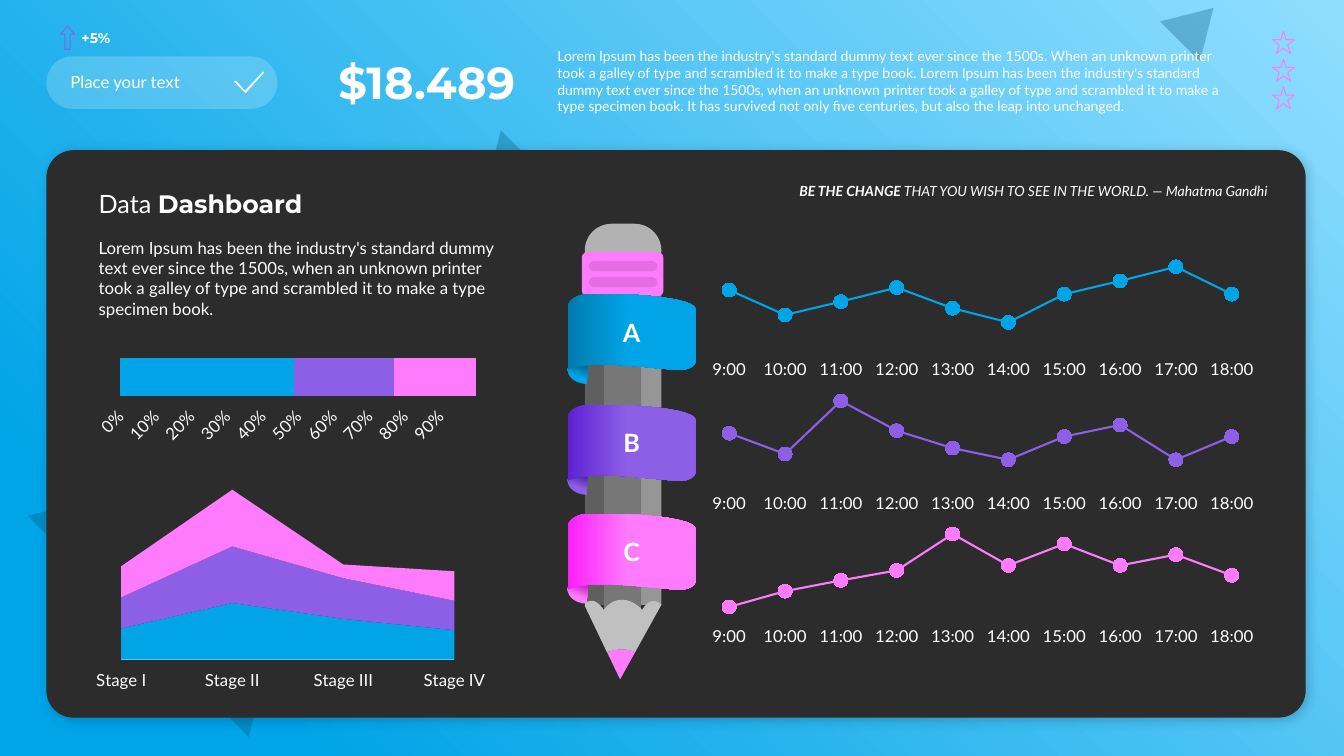
"""Build a data dashboard slide with a pencil, ribbons and five charts."""
from lxml.etree import SubElement
from pptx import Presentation
from pptx.chart.data import CategoryChartData
from pptx.dml.color import RGBColor
from pptx.enum.chart import XL_CHART_TYPE as ChartType, XL_MARKER_STYLE as Marker
from pptx.enum.chart import XL_TICK_LABEL_POSITION as LabelPosition, XL_TICK_MARK as TickMark
from pptx.enum.shapes import MSO_SHAPE as Preset
from pptx.enum.text import MSO_ANCHOR as Anchor, PP_ALIGN as Align
from pptx.oxml import parse_xml
from pptx.oxml.ns import nsdecls, qn
from pptx.util import Inches, Pt

WHITE = RGBColor(0xFF, 0xFF, 0xFF)
BLACK = RGBColor(0, 0, 0)
PANEL = RGBColor(0x2C, 0x2C, 0x2C)
SKY = RGBColor(0x90, 0xDE, 0xFF)
BLUE = RGBColor(0x01, 0xA4, 0xE7)
MID_BLUE = RGBColor(0x01, 0x7B, 0xAD)
DEEP_BLUE = RGBColor(0x00, 0x52, 0x74)
VIOLET = RGBColor(0x8D, 0x5F, 0xE6)
MID_VIOLET = RGBColor(0x5E, 0x21, 0xD3)
DEEP_VIOLET = RGBColor(0x3E, 0x16, 0x8D)
PINK = RGBColor(0xFD, 0x7B, 0xFC)
MID_PINK = RGBColor(0xFC, 0x1E, 0xFA)
DEEP_PINK = RGBColor(0xB9, 0x03, 0xB8)
DARK_GREY = RGBColor(0x5F, 0x5F, 0x5F)
GREY = RGBColor(0x77, 0x77, 0x77)
LIGHT_GREY = RGBColor(0x96, 0x96, 0x96)
ERASER = RGBColor(0xB2, 0xB2, 0xB2)
WOOD = RGBColor(0xC0, 0xC0, 0xC0)


def paint(shape, colour, alpha=None, fade=None, angle=0):
    """Fill a shape flat, or from colour to another; fade is (start, colour, end)."""
    shape.shadow.inherit = False
    shape.line.fill.background()
    if fade:
        shape.fill.gradient()
        shape.fill.gradient_angle = angle
        first, last = shape.fill.gradient_stops
        first.color.rgb, last.color.rgb = colour, fade[1]
        first.position, last.position = fade[0], fade[2]
    else:
        shape.fill.solid()
        shape.fill.fore_color.rgb = colour
    if alpha:
        tint = shape.fill._xPr.find(".//" + qn("a:srgbClr"))
        SubElement(tint, qn("a:alpha"), val=str(alpha * 1000))


def write(shape, text, size=12, font="Lato", bold=False, italic=False,
          align=Align.LEFT, anchor=Anchor.MIDDLE):
    """Append a run to the first paragraph of a shape."""
    frame = shape.text_frame
    frame.word_wrap = True
    frame.vertical_anchor = anchor
    paragraph = frame.paragraphs[0]
    paragraph.alignment = align
    run = paragraph.add_run()
    run.text = text
    run.font.size, run.font.name = Pt(size), font
    run.font.bold, run.font.italic = bold, italic
    run.font.color.rgb = WHITE


presentation = Presentation()
presentation.slide_width, presentation.slide_height = Inches(13.33), Inches(7.5)
slide = presentation.slides.add_slide(presentation.slide_layouts[6])
shapes = slide.shapes

backdrop = shapes.add_shape(Preset.RECTANGLE, 0, 0, Inches(13.33), Inches(7.5))
paint(backdrop, SKY, fade=(0, BLUE, 0.85))
linear = backdrop.fill._xPr.find(".//" + qn("a:lin"))
linear.getparent().replace(linear, parse_xml(
    f'<a:path {nsdecls("a")} path="circle"><a:fillToRect l="100000" b="100000"/></a:path>'))

for left, top, width, height, turn in [
        (0.73, 4.02, 3.1, 2.57, 45), (4.57, 1.5, 0.9, 0.75, 225), (11.59, 0.01, 0.56, 0.47, 45)]:
    triangle = shapes.add_shape(Preset.ISOSCELES_TRIANGLE, *map(Inches, (left, top, width, height)))
    triangle.rotation = turn
    paint(triangle, DEEP_BLUE, alpha=30)

panel = shapes.add_shape(Preset.ROUNDED_RECTANGLE, *map(Inches, (0.46, 1.49, 12.49, 5.63)))
panel.adjustments[0] = 0.048
paint(panel, PANEL)
effects = panel._element.spPr.find(qn("a:effectLst"))
shadow = SubElement(effects, qn("a:outerShdw"), blurRad=str(Pt(8)), dist=str(Pt(3)), dir="2700000")
SubElement(SubElement(shadow, qn("a:srgbClr"), val="000000"), qn("a:alpha"), val="20000")

pill = shapes.add_shape(Preset.ROUNDED_RECTANGLE, *map(Inches, (0.46, 0.56, 2.29, 0.52)))
pill.adjustments[0] = 0.5
paint(pill, WHITE, alpha=20)

arrow = shapes.add_shape(Preset.UP_ARROW, *map(Inches, (0.6, 0.26, 0.14, 0.23)))
arrow.adjustments[0], arrow.adjustments[1] = 0.36, 0.57
icons = [(arrow, VIOLET)]
for row in range(3):
    star = shapes.add_shape(Preset.STAR_5_POINT, *map(Inches, (12.62, 0.31 + 0.275 * row, 0.22, 0.22)))
    icons.append((star, PINK))
for icon, colour in icons:
    icon.shadow.inherit = False
    icon.fill.background()
    icon.line.color.rgb, icon.line.width = colour, Pt(0.75)

for preset, box, corner, colour, alpha in [
        (Preset.RECTANGLE, (6.36, 2.89, 0.2, 3.11), None, LIGHT_GREY, None),
        (Preset.RECTANGLE, (5.99, 2.89, 0.37, 3.15), None, GREY, None),
        (Preset.RECTANGLE, (5.8, 2.89, 0.19, 3.11), None, DARK_GREY, None),
        (Preset.RECTANGLE, (5.8, 2.85, 0.76, 0.14), None, BLACK, 20),
        (Preset.ROUNDED_RECTANGLE, (5.8, 2.22, 0.76, 0.53), 0.5, ERASER, None),
        (Preset.ROUNDED_RECTANGLE, (5.77, 2.5, 0.81, 0.44), 0.128, PINK, None),
        (Preset.ROUNDED_RECTANGLE, (5.84, 2.59, 0.68, 0.1), 0.5, BLACK, 10),
        (Preset.ROUNDED_RECTANGLE, (5.84, 2.75, 0.68, 0.1), 0.5, BLACK, 10)]:
    pencil_part = shapes.add_shape(preset, *map(Inches, box))
    if corner:
        pencil_part.adjustments[0] = corner
    paint(pencil_part, colour, alpha)

CHECK = [(0.3, 0.01), (0.29, 0), (0.11, 0.19), (0.02, 0.09), (0, 0.1), (0.11, 0.21), (0.12, 0.21)]
WOOD_EDGE = [(0.07, 0.07), (0.13, 0.07, 0.19, 0.16, 0.19, 0.16), (0.21, 0.13, 0.27, 0.06, 0.37, 0.06),
             (0.47, 0.06, 0.54, 0.13, 0.56, 0.15), (0.57, 0.16), (0.66, 0, 0.76, 0.11, 0.76, 0.11),
             (0.5, 0.58), (0.37, 0.52, 0.23, 0.58, 0.22, 0.58), (0, 0.12), (0, 0.1),
             (0.01, 0.09, 0.03, 0.07, 0.07, 0.07)]
LEAD = [(0.28, 0.06), (0.13, 0.33), (0, 0.06), (0.01, 0.06, 0.15, 0, 0.28, 0.06)]
RIBBON = [(1.27, 0.15), (1.28, 0.04, 0.67, -0.02, 0.17, 0), (0.09, 0.01, 0, 0.06, 0, 0.12), (0, 0.75),
          (0.22, 0.63, 0.91, 0.75, 1.12, 0.75), (1.2, 0.75, 1.27, 0.71, 1.27, 0.66)]
ribbons = [("A", 2.92, BLUE, MID_BLUE, DEEP_BLUE), ("B", 4.02, VIOLET, MID_VIOLET, DEEP_VIOLET),
           ("C", 5.1, PINK, MID_PINK, DEEP_PINK)]
outlines = [(CHECK, 2.32, 0.71, WHITE, None, ""), (WOOD_EDGE, 5.8, 5.89, WOOD, None, ""),
            (LEAD, 6.02, 6.41, PINK, None, "")]
for letter, top, colour, middle, deep in ribbons:
    curl = shapes.add_shape(Preset.CHORD, *map(Inches, (5.63, top + 0.61, 0.39, 0.28)))
    curl.adjustments[0], curl.adjustments[1] = 54.609, 162
    paint(curl, colour, fade=(0.27, deep, 0.69), angle=70)
    outlines.append((RIBBON, 5.63, top, middle, (0, colour, 0.47), letter))

for edges, left, top, colour, fade, letter in outlines:
    points = [edges[0]]
    for edge in edges[1:]:
        if len(edge) == 2:
            points.append(edge)
            continue
        corners = [points[-1], edge[:2], edge[2:4], edge[4:]]
        for step in range(1, 13):
            t = step / 12
            weights = ((1 - t) ** 3, 3 * t * (1 - t) ** 2, 3 * t * t * (1 - t), t ** 3)
            points.append(tuple(sum(w * c[axis] for w, c in zip(weights, corners)) for axis in (0, 1)))
    points = [(Inches(left + x), Inches(top + y)) for x, y in points]
    builder = shapes.build_freeform(*points[0])
    builder.add_line_segments(points[1:], close=True)
    outline = builder.convert_to_shape()
    paint(outline, colour, fade=fade)
    if letter:
        write(outline, letter, size=18, bold=True, align=Align.CENTER)

LOREM = "Lorem Ipsum has been the industry's standard dummy text ever since the 1500s"
GALLEY = "unknown printer took a galley of type and scrambled it to make a type"
bold_title = dict(font="Montserrat", bold=True)
for box, margin, runs in [
        ((0.6, 0.66, 1.88, 0.3), 0.1, [("Place your text", {})]),
        ((3.09, 0.49, 2.12, 0.64), 0.1, [("$18.489", dict(bold_title, size=32, align=Align.RIGHT))]),
        ((5.43, 0.42, 6.98, 0.77), 0.1, [
            (f"{LOREM}. When an {GALLEY} book. {LOREM}, when an {GALLEY} specimen book. "
             "It has survived not only five centuries, but also the leap into unchanged.", dict(size=10))]),
        ((0.74, 0.24, 0.42, 0.27), 0, [("+5%", dict(bold_title, size=10, align=Align.CENTER))]),
        ((0.88, 2.31, 4.33, 0.91), 0.1, [
            (f"{LOREM}, when an {GALLEY} specimen book.", dict(anchor=Anchor.TOP))]),
        ((0.88, 1.82, 4.33, 0.4), 0.1, [
            ("Data ", dict(size=18)), ("Dashboard", dict(bold_title, size=18, anchor=Anchor.BOTTOM))]),
        ((5.6, 1.76, 7.01, 0.27), 0.04, [
            ("BE THE CHANGE ", dict(size=10, bold=True, italic=True)),
            ("THAT YOU WISH TO SEE IN THE WORLD. ― Mahatma Gandhi",
             dict(size=10, italic=True, align=Align.RIGHT))])]:
    text_box = shapes.add_textbox(*map(Inches, box))
    text_box.text_frame.margin_left = text_box.text_frame.margin_right = Inches(margin)
    for text, style in runs:
        write(text_box, text, **style)

hours = [f"{hour}:00" for hour in range(9, 19)]
stages = ["Stage I", "Stage II", "Stage III", "Stage IV"]
line_layout = (0.02, 0.12, 0.96, 0.67)
for kind, box, layout, top_value, categories, rows, colours in [
        (ChartType.AREA_STACKED, (0.88, 4.64, 4.03, 2.2), (0.08, 0.1, 0.82, 0.77), 300, stages,
         [(55, 100, 72, 52), (55, 100, 72, 52), (55, 100, 24, 52)], [BLUE, VIOLET, PINK]),
        (ChartType.BAR_STACKED_100, (0.87, 3.53, 4.01, 0.89), (0.08, 0.03, 0.88, 0.42), 1, ["1"],
         [(49,), (28,), (23,)], [BLUE, VIOLET, PINK]),
        (ChartType.LINE_MARKERS, (6.84, 2.5, 5.77, 1.26), line_layout, 100, hours,
         [(72, 42, 58, 75, 50, 33, 67, 83, 100, 67)], [BLUE]),
        (ChartType.LINE_MARKERS, (6.84, 3.83, 5.77, 1.26), line_layout, 100, hours,
         [(61, 36, 100, 64, 43, 29, 57, 71, 29, 57)], [VIOLET]),
        (ChartType.LINE_MARKERS, (6.84, 5.15, 5.77, 1.26), line_layout, 100, hours,
         [(12, 31, 44, 56, 100, 62, 88, 62, 75, 50)], [PINK])]:
    data = CategoryChartData()
    data.categories = categories
    for number, row in enumerate(rows, 1):
        data.add_series(f"Series {number}", row)
    chart = shapes.add_chart(kind, *map(Inches, box), data).chart
    chart.has_legend = chart.has_title = False
    chart.font.size, chart.font.name, chart.font.color.rgb = Pt(12), "Lato", WHITE
    plot = chart.plots[0]
    plot.vary_by_categories = False
    category_axis, value_axis = chart.category_axis, chart.value_axis
    value_axis.minimum_scale, value_axis.maximum_scale = 0, top_value
    value_axis.has_major_gridlines = category_axis.has_major_gridlines = False
    is_bar, is_line = kind == ChartType.BAR_STACKED_100, kind == ChartType.LINE_MARKERS
    shown, hidden = (value_axis, category_axis) if is_bar else (category_axis, value_axis)
    hidden.visible = False
    shown.major_tick_mark = shown.minor_tick_mark = TickMark.NONE
    shown.tick_label_position = LabelPosition.LOW
    shown.format.line.fill.background()
    if is_bar:
        plot.gap_width, plot.overlap = 0, 100
        value_axis.major_unit = 0.1
        value_axis.tick_labels.number_format = "0%"
        value_axis.tick_labels.number_format_is_linked = False
        value_axis.tick_labels.font.size = Pt(12)
        value_axis._element.find(".//" + qn("a:bodyPr")).set("rot", "-2700000")
    elif not is_line:
        shown.format.line.color.rgb, shown.format.line.width = WHITE, Pt(0.75)
    for series, colour in zip(plot.series, colours):
        target = series.marker.format if is_line else series.format
        target.fill.solid()
        target.fill.fore_color.rgb = colour
        if is_line:
            series.smooth = False
            series.format.line.color.rgb, series.format.line.width = colour, Pt(1.5)
            series.marker.style, series.marker.size = Marker.CIRCLE, 10
            target.line.color.rgb = colour
    plot_area = chart._chartSpace.chart.plotArea
    for old_layout in plot_area.findall(qn("c:layout")):
        plot_area.remove(old_layout)
    places = "".join(f'<c:{tag} val="{size}"/>' for tag, size in zip("xywh", layout))
    plot_area.insert(0, parse_xml(
        f'<c:layout {nsdecls("c")}><c:manualLayout><c:layoutTarget val="inner"/><c:xMode val="edge"/>'
        f'<c:yMode val="edge"/>{places}</c:manualLayout></c:layout>'))

presentation.save("out.pptx")
